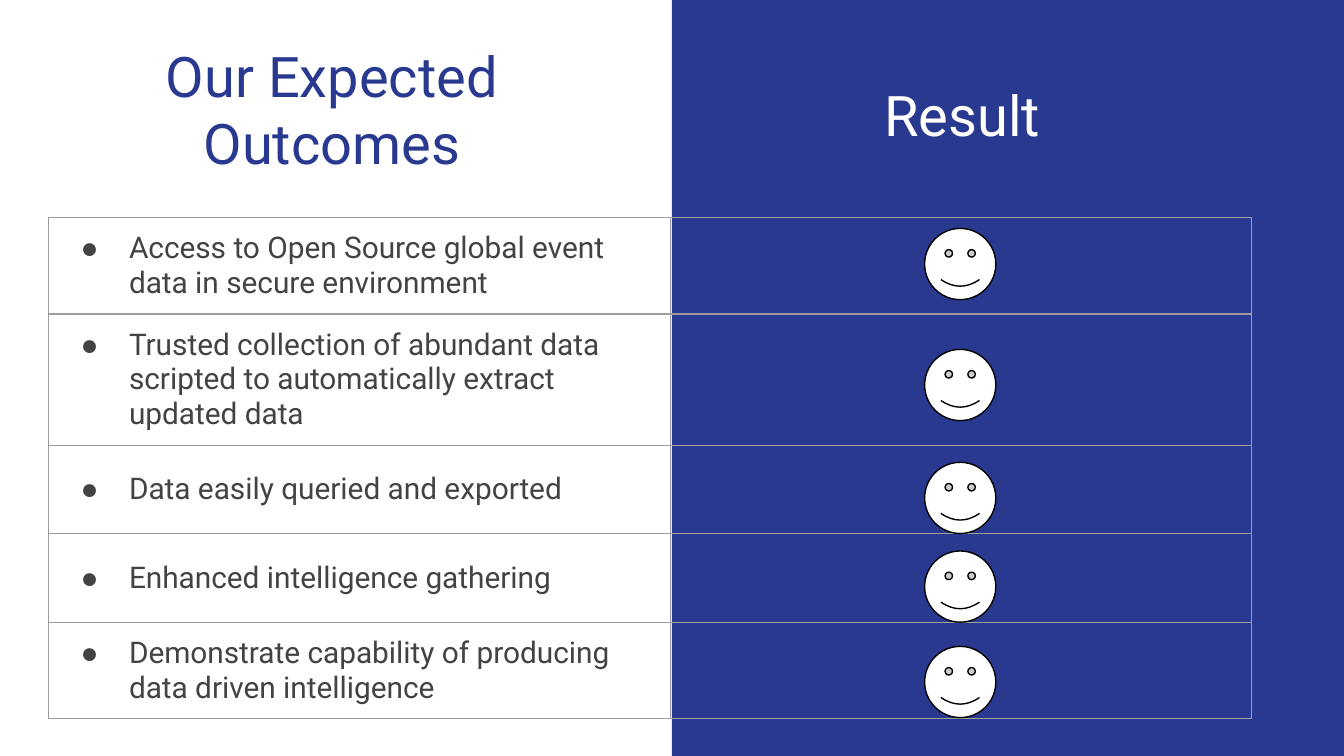
from pptx import Presentation
from pptx.dml.color import RGBColor as RGB
from pptx.enum.shapes import MSO_SHAPE as Shape
from pptx.enum.text import MSO_ANCHOR as Anchor, MSO_AUTO_SIZE as Fit, PP_ALIGN as Align
from pptx.oxml import parse_xml
from pptx.oxml.ns import nsdecls
from pptx.util import Inches, Pt

COLORS = {"blue": "2A3990", "white": "FFFFFF", "text": "434343",
          "grid": "9E9E9E", "black": "000000"}
FONT = "Roboto"
WIDE = 10
HIGH = WIDE * 9 / 16
GOALS = [  # outcome, least row height, top of face
    ("Access to Open Source global event data in secure environment", 0.61, 1.7),
    ("Trusted collection of abundant data scripted to automatically extract updated data",
     0.47, 2.6),
    ("Data easily queried and exported", 0.66, 3.44),
    ("Enhanced intelligence gathering", 0.66, 4.1),
    ("Demonstrate capability of producing data driven intelligence", 0.63, 4.81),
]


def color(name):
    return RGB.from_string(COLORS[name])


def node(tag, body):
    return parse_xml(f"<a:{tag} {nsdecls('a')} {body}</a:{tag}>")


class Deck:
    def __init__(self, wide, high):
        self.prs = Presentation()
        self.prs.slide_width, self.prs.slide_height = Inches(wide), Inches(high)
        self.slide = self.prs.slides.add_slide(self.prs.slide_layouts[5])
        self.shapes = self.slide.shapes

    def style(self, para, size, ink):
        para.font.name, para.font.size = FONT, Pt(size)
        para.font.bold = False
        para.font.color.rgb = color(ink)

    def head(self, shape, box, text, ink):
        shape.left, shape.top, shape.width, shape.height = map(Inches, box)
        frame = shape.text_frame
        frame.text = text
        frame.word_wrap, frame.auto_size = True, Fit.NONE
        frame.vertical_anchor = Anchor.BOTTOM
        frame.margin_left = frame.margin_right = Inches(0.1)
        frame.margin_top = frame.margin_bottom = Inches(0.1)
        para = frame.paragraphs[0]
        para.alignment = Align.CENTER
        self.style(para, 30, ink)

    def title(self, box, text, ink):
        self.head(self.shapes.title, box, text, ink)

    def label(self, box, text, ink):
        self.head(self.shapes.add_textbox(*map(Inches, box)), box, text, ink)

    def shape(self, kind, box, fill, line=None):
        item = self.shapes.add_shape(kind, *map(Inches, box))
        item.shadow.inherit = False
        item.fill.solid()
        item.fill.fore_color.rgb = color(fill)
        if line:
            item.line.color.rgb, item.line.width = color(line), Pt(0.75)
        else:
            item.line.fill.background()
        return item

    def face(self, left, top, size):
        face = self.shape(Shape.SMILEY_FACE, (left, top, size, size), "white", "black")
        face.adjustments[0] = 0.047

    def bullet(self, para, text):
        para.text = text
        props = para._p.get_or_add_pPr()
        props.set("marL", str(Inches(0.5)))
        props.set("indent", str(Inches(-0.36)))
        props.append(node("buClr", f'><a:srgbClr val="{COLORS["text"]}"/>'))
        props.append(node("buFont", 'typeface="Arial">'))
        props.append(node("buChar", 'char="●">'))
        self.style(para, 16, "text")

    def cell(self, cell):
        cell.vertical_anchor = Anchor.MIDDLE
        cell.margin_left = cell.margin_right = Inches(0.1)
        cell.margin_top = cell.margin_bottom = Inches(0.1)
        props = cell._tc.get_or_add_tcPr()
        for side in "LRTB":
            props.append(node(f"ln{side}", f'w="{Pt(0.75)}"><a:solidFill>'
                              f'<a:srgbClr val="{COLORS["grid"]}"/></a:solidFill>'))
        cell.fill.background()

    def table(self, left, top, cols, goals):
        high = sum(goal[1] for goal in goals)
        box = map(Inches, (left, top, sum(cols), high))
        table = self.shapes.add_table(len(goals), len(cols), *box).table
        table.first_row = table.horz_banding = False
        for col, wide in zip(table.columns, cols):
            col.width = Inches(wide)
        for row, (text, tall, _) in zip(table.rows, goals):
            row.height = Inches(tall)
            for cell in row.cells:
                self.cell(cell)
            self.bullet(row.cells[0].text_frame.paragraphs[0], text)


def main():
    deck = Deck(WIDE, HIGH)
    # Right panel and headings
    deck.shape(Shape.RECTANGLE, (WIDE / 2, 0, WIDE / 2, HIGH), "blue")
    deck.title((0.26, 0.27, 4.42, 1.14), "Our Expected Outcomes", "blue")
    deck.label((5.29, 0.48, 3.74, 0.72), "Result", "white")
    # Outcomes with a face for each result
    deck.table(0.36, 1.62, (4.63, 4.32), GOALS)
    for _, _, top in GOALS:
        deck.face(6.88, top, 0.53)
    deck.prs.save("out.pptx")


if __name__ == "__main__":
    main()
